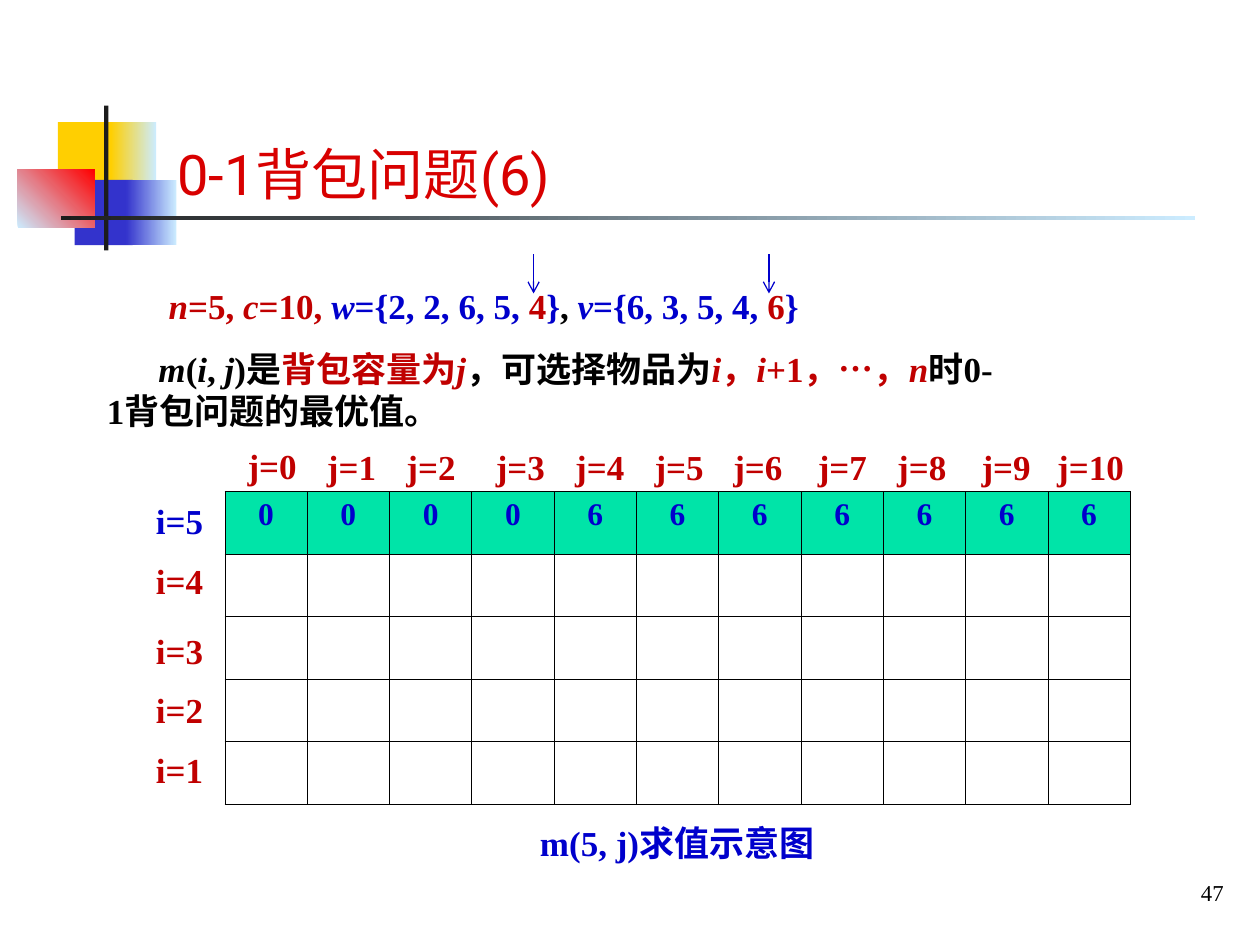
from lxml.etree import SubElement
from pptx import Presentation
from pptx.dml.color import RGBColor
from pptx.enum.shapes import MSO_CONNECTOR, MSO_SHAPE
from pptx.enum.text import MSO_ANCHOR, MSO_AUTO_SIZE, PP_ALIGN
from pptx.oxml.ns import qn
from pptx.util import Inches, Pt

WIDTH, HEIGHT = Inches(10), Inches(7.5)
BLACK = RGBColor(0x00, 0x00, 0x00)
CHARCOAL = RGBColor(0x1C, 0x1C, 0x1C)
YELLOW = RGBColor(0xFF, 0xCF, 0x01)
INDIGO = RGBColor(0x33, 0x33, 0xCC)
PALE = RGBColor(0xCC, 0xEC, 0xFF)
BRIGHT_RED = RGBColor(0xFF, 0x00, 0x00)
TITLE_RED = RGBColor(0xD8, 0x00, 0x00)
RED = RGBColor(0xC0, 0x00, 0x00)
BLUE = RGBColor(0x00, 0x00, 0xCC)
GREEN = RGBColor(0x00, 0xE4, 0xA8)
SERIF = "Times New Roman"

ROWS, COLUMNS = 5, 11
LABEL_HEIGHT = 5.87
VALUES = [0] * 4 + [6] * 7
COLUMN_LABEL_LEFTS = [18.65, 24.95, 31.25, 38.35, 44.65, 50.95, 57.2, 63.9, 70.2, 76.9, 82.9]
ROW_LABEL_TOPS = [52.2, 58.55, 65.95, 72.2, 78.53]

# Each run is (text, colour, italic).
FORMULA = [
    ("n", RED, True), ("=5, ", RED, False), ("c", RED, True), ("=10, ", RED, False),
    ("w", BLUE, True), ("={2, 2, 6, 5, ", BLUE, False), ("4", RED, False),
    ("}", BLUE, False), (", ", BLACK, False),
    ("v", BLUE, True), ("={6, 3, 5, 4, ", BLUE, False), ("6", RED, False),
    ("}", BLUE, False),
]
DEFINITION = [
    ("m", BLACK, True), ("(", BLACK, False), ("i", BLACK, True), (", ", BLACK, False),
    ("j", BLACK, True), (")是", BLACK, False), ("背包容量为", RED, False),
    ("j", RED, True), ("，可选择物品为", BLACK, False), ("i", RED, True),
    ("，", RED, False), ("i", RED, True), ("+1，…，", RED, False), ("n", RED, True),
    ("时0-1背包问题的最优值。", BLACK, False),
]


def place(left, top, width, height):
    """Turn percentages of the slide's size into lengths."""
    return [round(share * side / 100) for share, side in
            zip((left, top, width, height), (WIDTH, HEIGHT) * 2)]


def write(frame, runs, size=20, font=SERIF, bold=True, align=PP_ALIGN.LEFT, indent=0):
    paragraph = frame.paragraphs[0]
    paragraph.alignment = align
    if indent:
        properties = paragraph._p.get_or_add_pPr()
        properties.set("marL", "0")
        properties.set("indent", str(indent))
    for words, color, italic in runs:
        run = paragraph.add_run()
        run.text = words
        run.font.name, run.font.size = font, Pt(size)
        run.font.bold, run.font.italic = bold, italic
        run.font.color.rgb = color


def add_text(slide, area, runs, wrap=False, anchor=MSO_ANCHOR.TOP, fit=True, **format):
    frame = slide.shapes.add_textbox(*place(*area)).text_frame
    frame.word_wrap = wrap
    frame.vertical_anchor = anchor
    frame.auto_size = MSO_AUTO_SIZE.SHAPE_TO_FIT_TEXT if fit else MSO_AUTO_SIZE.NONE
    write(frame, runs, **format)


def add_block(slide, area, start, end=None, angle=0):
    """Add a plain rectangle, shaded from start to end if an end is given."""
    block = slide.shapes.add_shape(MSO_SHAPE.RECTANGLE, *place(*area))
    block.shadow.inherit = False
    block.line.fill.background()
    if end is None:
        block.fill.solid()
        block.fill.fore_color.rgb = start
        return
    block.fill.gradient()
    block.fill.gradient_angle = angle
    for stop, color in zip(block.fill.gradient_stops, (start, end)):
        stop.color.rgb = color


def add_ornament(slide):
    add_block(slide, (4.6, 12.93, 4.8, 6.93), YELLOW)
    add_block(slide, (8.8, 12.93, 3.6, 6.93), YELLOW, PALE)
    add_block(slide, (5.93, 19.05, 4.6, 6.9), INDIGO)
    add_block(slide, (10, 19.05, 4, 6.9), INDIGO, PALE)
    add_block(slide, (1.4, 17.93, 6.1, 6.2), PALE, BRIGHT_RED, angle=45)
    add_block(slide, (8.27, 11.17, 0.33, 15.33), CHARCOAL)
    add_block(slide, (4.85, 22.88, 90, 0.4), CHARCOAL, PALE)


def add_borders(cell):
    properties = cell._tc.get_or_add_tcPr()
    for position, side in enumerate(("a:lnL", "a:lnR", "a:lnT", "a:lnB")):
        border = properties.makeelement(qn(side), {"w": str(Pt(0.45))})
        fill = SubElement(border, qn("a:solidFill"))
        SubElement(fill, qn("a:srgbClr"), val=str(BLACK))
        properties.insert(position, border)


def add_value_table(slide):
    table = slide.shapes.add_table(ROWS, COLUMNS, *place(17.85, 52, 71.87, 33.13)).table
    for row in range(ROWS):
        for column in range(COLUMNS):
            cell = table.cell(row, column)
            if row == 0:
                cell.fill.solid()
                cell.fill.fore_color.rgb = GREEN
                write(cell.text_frame, [(str(VALUES[column]), BLUE, False)],
                      size=18, align=PP_ALIGN.CENTER)
            else:
                cell.fill.background()
            add_borders(cell)


def add_labels(slide):
    for row, top in enumerate(ROW_LABEL_TOPS):
        add_text(slide, (11.05, top, 6.4, LABEL_HEIGHT),
                 [(f"i={ROWS - row}", RED if row else BLUE, False)],
                 align=PP_ALIGN.CENTER)
    for column, left in enumerate(COLUMN_LABEL_LEFTS):
        width = 5.9 if column < 10 else 7.3
        add_text(slide, (left, 46.53 if column else 46.4, width, LABEL_HEIGHT),
                 [(f"j={column}", RED, False)], align=PP_ALIGN.CENTER)


def add_arrow(slide, left):
    x, top, _, drop = place(left, 26.93, 0, 4.13)
    arrow = slide.shapes.add_connector(MSO_CONNECTOR.STRAIGHT, x, top, x, top + drop)
    arrow.line.color.rgb = BLUE
    arrow.line.width = Pt(0.75)
    SubElement(arrow.line._get_or_add_ln(), qn("a:tailEnd"), type="arrow")
    SubElement(arrow._element.spPr, qn("a:effectLst"))


def main():
    deck = Presentation()
    deck.slide_width, deck.slide_height = WIDTH, HEIGHT
    slide = deck.slides.add_slide(deck.slide_layouts[6])

    add_ornament(slide)
    add_text(slide, (79, 92, 19.1, 4.93), [("47", BLACK, False)], wrap=True, fit=False,
             anchor=MSO_ANCHOR.MIDDLE, size=13, bold=False, align=PP_ALIGN.RIGHT)
    add_text(slide, (13.1, 8, 84.2, 14.53), [("0-1背包问题(6)", TITLE_RED, False)],
             wrap=True, fit=False, anchor=MSO_ANCHOR.BOTTOM, size=32, font="Roboto",
             bold=False)
    add_text(slide, (12.4, 29.47, 52.7, LABEL_HEIGHT), FORMULA)
    add_text(slide, (7.5, 36.07, 72.4, 10.27), DEFINITION, wrap=True, indent=Inches(0.41))
    add_value_table(slide)
    add_labels(slide)
    add_text(slide, (41.2, 86.27, 25.1, LABEL_HEIGHT),
             [("m(5, j)求值示意图", BLUE, False)], align=PP_ALIGN.CENTER)
    for left in (61.03, 42.35):
        add_arrow(slide, left)
    deck.save("out.pptx")


if __name__ == "__main__":
    main()
